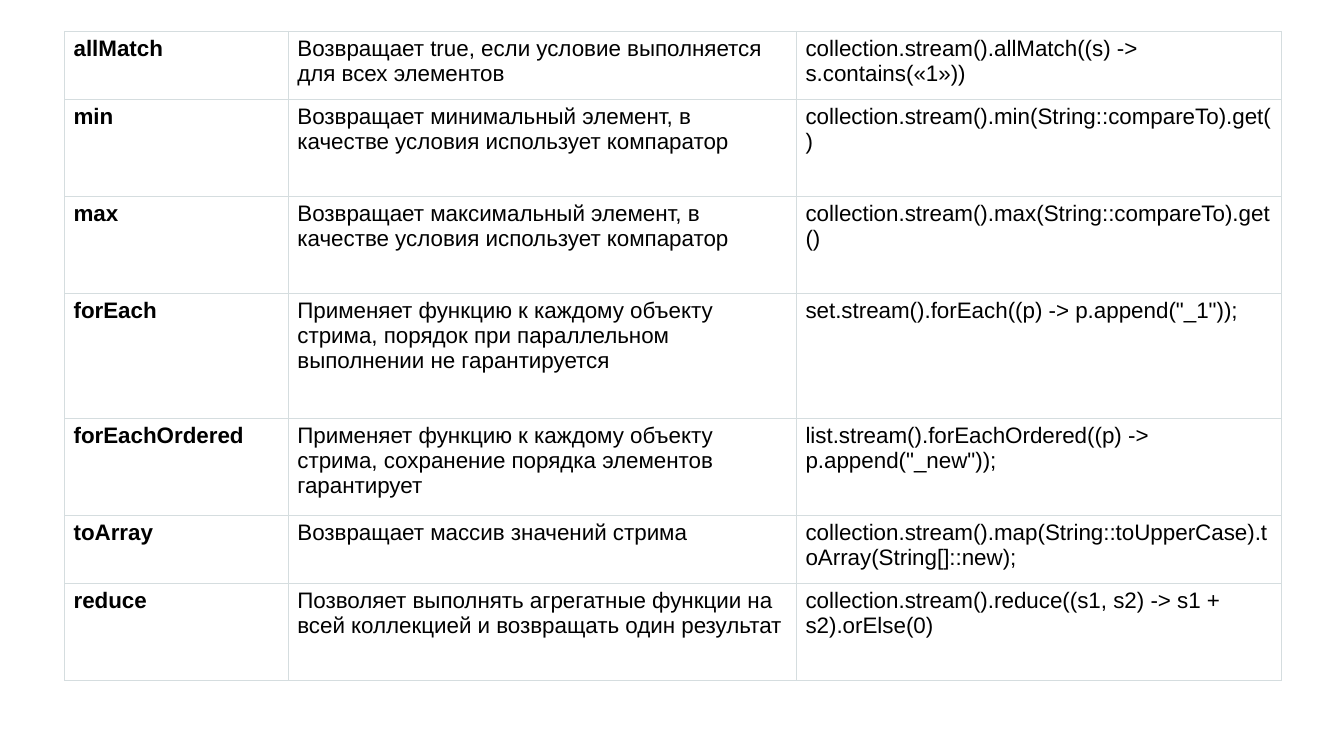
from pptx import Presentation
from pptx.dml.color import RGBColor as Rgb
from pptx.oxml import parse_xml
from pptx.oxml.ns import nsdecls
from pptx.util import Inches, Pt

# Content: method, meaning, sample call, row height
ROWS = [
    ("allMatch", "Возвращает true, если условие выполняется для всех элементов",
     "collection.stream().allMatch((s) -> s.contains(«1»))", 0.68),
    ("min", "Возвращает минимальный элемент, в качестве условия использует компаратор",
     "collection.stream().min(String::compareTo).get()", 0.96),
    ("max", "Возвращает максимальный элемент, в качестве условия использует компаратор",
     "collection.stream().max(String::compareTo).get()", 0.96),
    ("forEach", "Применяет функцию к каждому объекту стрима, порядок при параллельном "
     "выполнении не гарантируется",
     'set.stream().forEach((p) -> p.append("_1"));', 1.24),
    ("forEachOrdered", "Применяет функцию к каждому объекту стрима, сохранение порядка "
     "элементов гарантирует",
     'list.stream().forEachOrdered((p) -> p.append("_new"));', 0.96),
    ("toArray", "Возвращает массив значений стрима",
     "collection.stream().map(String::toUpperCase).toArray(String[]::new);", 0.68),
    ("reduce", "Позволяет выполнять агрегатные функции на всей коллекцией и возвращать "
     "один результат",
     "collection.stream().reduce((s1, s2) -> s1 + s2).orElse(0)", 0.96),
]
COLS = [2.22, 5.04, 4.81]
LEFT, TOP = 0.64, 0.31

# Theme
THEME = {
    "font": {"name": "Arial", "size": Pt(16)},
    "ink": Rgb(0, 0, 0),
    "rule": "D5DDDF",
    "rule_w": Pt(0.74),
    "pad": {"margin_left": Inches(0.09), "margin_right": Inches(0.09),
            "margin_top": Inches(0.05), "margin_bottom": Inches(0.05)},
    "plain": {"first_row": False, "horz_banding": False},
}


def put(item, vals):
    for key, val in vals.items():
        setattr(item, key, val)


def frame(cell):
    """Draw thin rules on all four sides of a cell."""
    props = cell._tc.get_or_add_tcPr()
    for side in "LRTB":
        props.append(parse_xml(
            f'<a:ln{side} {nsdecls("a")} w="{THEME["rule_w"]}"><a:solidFill>'
            f'<a:srgbClr val="{THEME["rule"]}"/></a:solidFill></a:ln{side}>'))


def fill(cell, text, bold):
    put(cell, THEME["pad"])
    frame(cell)
    cell.fill.background()
    run = cell.text_frame.paragraphs[0].add_run()
    run.text = text
    put(run.font, {**THEME["font"], "bold": bold})
    run.font.color.rgb = THEME["ink"]


# Slide
deck = Presentation()
put(deck, {"slide_width": Inches(13.33), "slide_height": Inches(7.5)})
slide = deck.slides.add_slide(deck.slide_layouts[6])

# Table of stream methods
high = sum(row[-1] for row in ROWS)
table = slide.shapes.add_table(
    len(ROWS), len(COLS), Inches(LEFT), Inches(TOP),
    Inches(sum(COLS)), Inches(high)).table
put(table, THEME["plain"])
for col, wide in zip(table.columns, COLS):
    col.width = Inches(wide)
for line, (*texts, tall) in zip(table.rows, ROWS):
    line.height = Inches(tall)
    for num, (cell, text) in enumerate(zip(line.cells, texts)):
        fill(cell, text, bold=num == 0)

deck.save("out.pptx")
